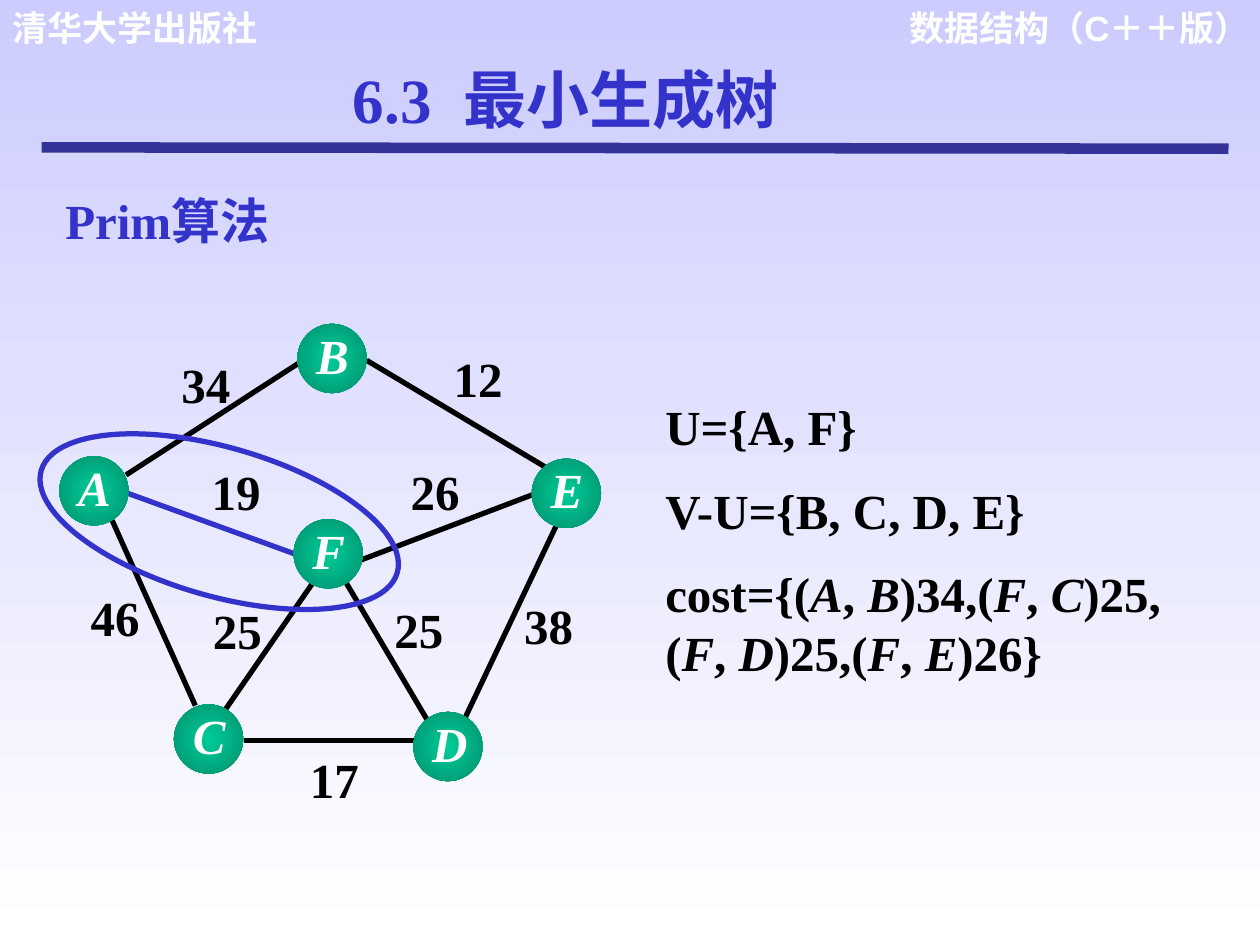
from lxml.etree import SubElement
from pptx import Presentation
from pptx.dml.color import RGBColor
from pptx.enum.shapes import MSO_CONNECTOR as Connector, MSO_SHAPE as Shape
from pptx.enum.text import MSO_ANCHOR as Anchor, MSO_AUTO_SIZE as AutoSize, PP_ALIGN as Align
from pptx.oxml import parse_xml
from pptx.oxml.ns import nsdecls, qn
from pptx.util import Inches, Pt

COLORS = {"sky": "CCCCFF", "white": "FFFFFF", "rule": "333399", "blue": "3333CC",
          "black": "000000", "green": "00CC99", "dark_green": "008F6B"}
RGB = {name: RGBColor.from_string(value) for name, value in COLORS.items()}
SERIF, SANS = "Times New Roman", "Arial"
BOX_MARGINS = (0.1, 0.05, 0.1, 0.05)

deck = Presentation()
deck.slide_width, deck.slide_height = Inches(10), Inches(7.5)
page = deck.slides.add_slide(deck.slide_layouts[1])
UNIT = deck.slide_width / 10  # square grid of 10 columns by 7.5 rows


def grid(*cells):
    return [round(cell * UNIT) for cell in cells]


def write(box, lines, color, size=28, name=SERIF, italic=False, emphasis=None,
          align=Align.LEFT, margins=BOX_MARGINS, gaps=()):
    """Fill a box; spans between asterisks get the emphasis, gaps go before paragraphs."""
    frame = box.text_frame
    settings = {"word_wrap": True, "auto_size": AutoSize.NONE, "vertical_anchor": Anchor.TOP}
    sides = ("margin_left", "margin_top", "margin_right", "margin_bottom")
    settings.update(zip(sides, grid(*margins)))
    for key, value in settings.items():
        setattr(frame, key, value)
    for index, line in enumerate(lines):
        para = frame.paragraphs[0] if index == 0 else frame.add_paragraph()
        para.alignment = align
        para.space_before = Pt(gaps[index] if gaps else 0)
        for number, text in enumerate(line.split("*")):
            if not text:
                continue
            span = para.add_run()
            span.text = text
            style = {"name": name, "size": Pt(size), "bold": True, "italic": italic}
            if number % 2:
                style.update(emphasis)
            for key, value in style.items():
                setattr(span.font, key, value)
            span.font.color.rgb = RGB[color]


# Background
backdrop = page.background.fill
backdrop.gradient()
backdrop.gradient_angle = 270
for stop, color in zip(backdrop.gradient_stops, ("sky", "white")):
    stop.color.rgb = RGB[color]

# Running header, section heading and title
texts = page.shapes
write(texts.add_textbox(*grid(7, 0, 3.02, 0.43)), ["数据结构（C＋＋版）"], "white", 20, SANS,
      align=Align.RIGHT)
write(texts.add_textbox(*grid(0, 0, 2.71, 0.43)), ["清华大学出版社"], "white", 20, SANS)
write(texts.add_textbox(*grid(0.42, 1.46, 5.75, 0.57)), ["Prim*算法"], "blue",
      emphasis={"name": SANS})

title = texts.title
title.left, title.top, title.width, title.height = grid(2.7, 0.43, 4.7, 0.7)
write(title, ["6.3  最小生成树"], "blue", 36)
title_font = title.text_frame.paragraphs[0].runs[0].font
title_font.fill._xPr.find(qn("a:solidFill")).addnext(parse_xml(
    f'<a:effectLst {nsdecls("a")}><a:outerShdw blurRad="38100" dist="38100" dir="2700000">'
    '<a:srgbClr val="000000"><a:alpha val="43000"/></a:srgbClr></a:outerShdw></a:effectLst>'))

# Current sets and candidate edges
state = page.placeholders[1]
state.left, state.top, state.width, state.height = grid(5.18, 3.1, 4.82, 2.44)
write(state,
      ["U={A, F}", "V-U={B, C, D, E}", "cost={(*A*, *B*)34,(*F*, *C*)25,",
       "(*F*, *D*)25,(*F*, *E*)26}"],
      "black", emphasis={"italic": True}, gaps=(0, 14, 14, 0))
for para in state.text_frame.paragraphs:
    properties = para._p.get_or_add_pPr()
    properties.set("marL", "0")
    properties.set("indent", "0")
    SubElement(properties, qn("a:buNone"))

# Title rule and graph edges: start, end, colour, width
lines = [
    ((0.33, 1.17), (9.75, 1.18), "rule", 6),
    ((2.39, 2.87), (1, 3.77), "black", 3),
    ((4.43, 4.14), (3.69, 5.7), "black", 3),
    ((3.4, 5.73), (2.75, 4.63), "black", 3),
    ((3.3, 5.88), (1.94, 5.88), "black", 3),
    ((0.89, 4.13), (1.55, 5.6), "black", 3),
    ((2.48, 4.63), (1.79, 5.63), "black", 3),
    ((4.27, 3.91), (2.85, 4.45), "black", 3),
    ((2.91, 2.86), (4.35, 3.72), "black", 3),
    ((2.35, 4.4), (1, 3.91), "blue", 3),
]
for start, end, color, width in lines:
    edge = page.shapes.add_connector(Connector.STRAIGHT, *grid(*start, *end))
    edge.line.color.rgb = RGB[color]
    edge.line.width = Pt(width)
    SubElement(edge._element.spPr, qn("a:effectLst"))

# Edge weights
weights = [("25", 3.13, 4.76), ("12", 3.6, 2.77), ("34", 1.44, 2.81), ("19", 1.68, 3.66),
           ("26", 3.26, 3.66), ("46", 0.72, 4.66), ("38", 4.16, 4.73), ("17", 2.46, 5.95),
           ("25", 1.69, 4.77)]
for weight, left, top in weights:
    write(texts.add_textbox(*grid(left, top, 0.45, 0.6)), [weight], "black",
          align=Align.JUSTIFY, margins=(0, 0, 0, 0))

# Vertices
vertices = {"A": (0.47, 3.62), "B": (2.36, 2.57), "E": (4.22, 3.64),
            "D": (3.28, 5.65), "C": (1.38, 5.59), "F": (2.33, 4.12)}
for letter, (left, top) in vertices.items():
    vertex = page.shapes.add_group_shape()
    disc = vertex.shapes.add_shape(Shape.OVAL, *grid(left, top, 0.55, 0.55))
    disc.shadow.inherit = False
    disc.line.fill.background()
    disc.fill.gradient()
    for stop, color in zip(disc.fill.gradient_stops, ("green", "dark_green")):
        stop.color.rgb = RGB[color]
    linear = disc._element.spPr.find(".//" + qn("a:lin"))
    linear.getparent().replace(linear, parse_xml(
        f'<a:path {nsdecls("a")} path="circle">'
        '<a:fillToRect l="50000" t="50000" r="50000" b="50000"/></a:path>'))
    label = vertex.shapes.add_textbox(*grid(left + 0.07, top - 0.05, 0.51, 0.65))
    write(label, [letter], "white", italic=True, align=Align.JUSTIFY,
          margins=(0.08, 0.06, 0, 0.01))

# Ring around the vertices already in the tree
ring = page.shapes.add_shape(Shape.OVAL, *grid(1.15, 2.67, 1.18, 2.94))
ring.rotation = 286
ring.shadow.inherit = False
ring.fill.background()
ring.line.color.rgb = RGB["blue"]
ring.line.width = Pt(3)

deck.save("out.pptx")
